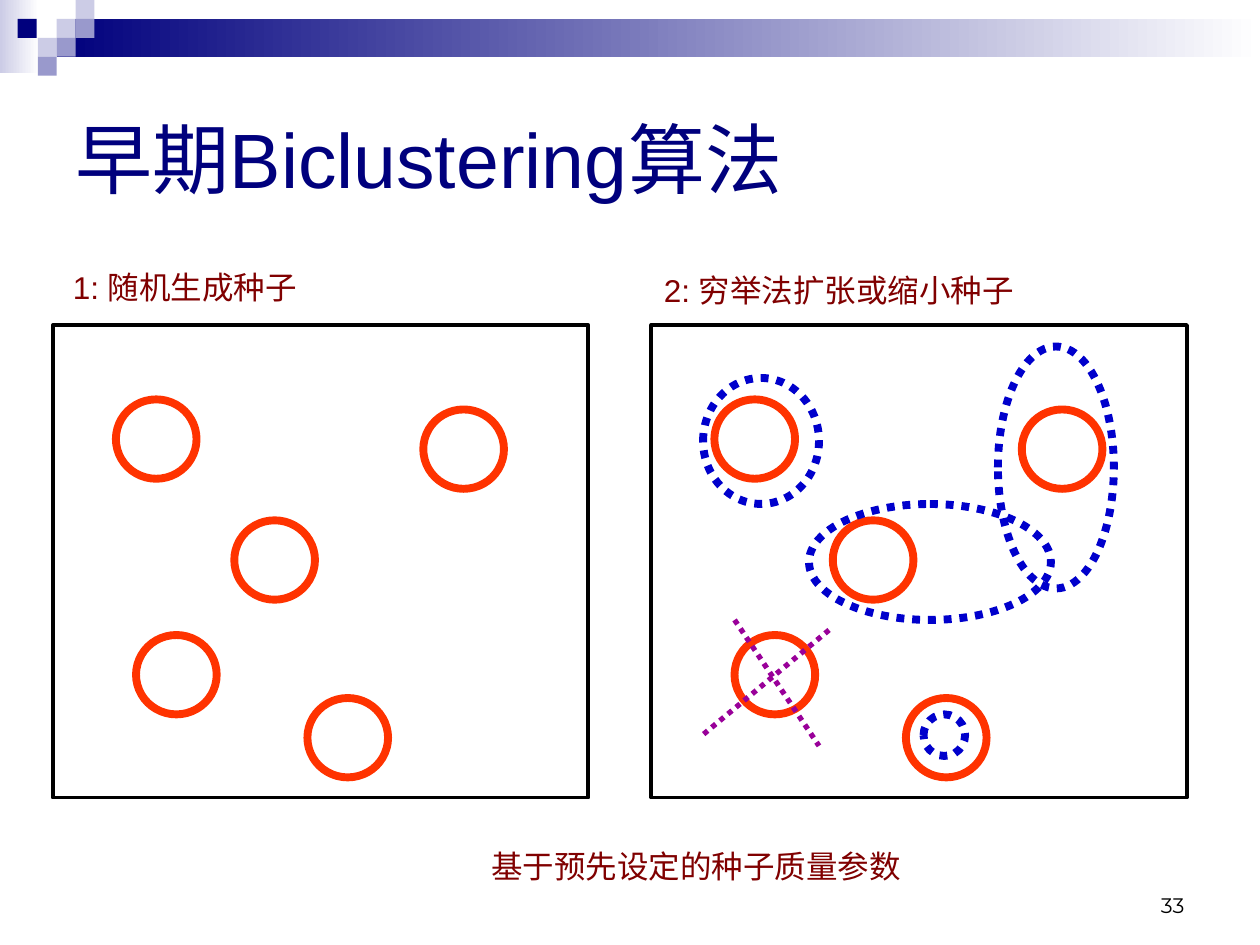
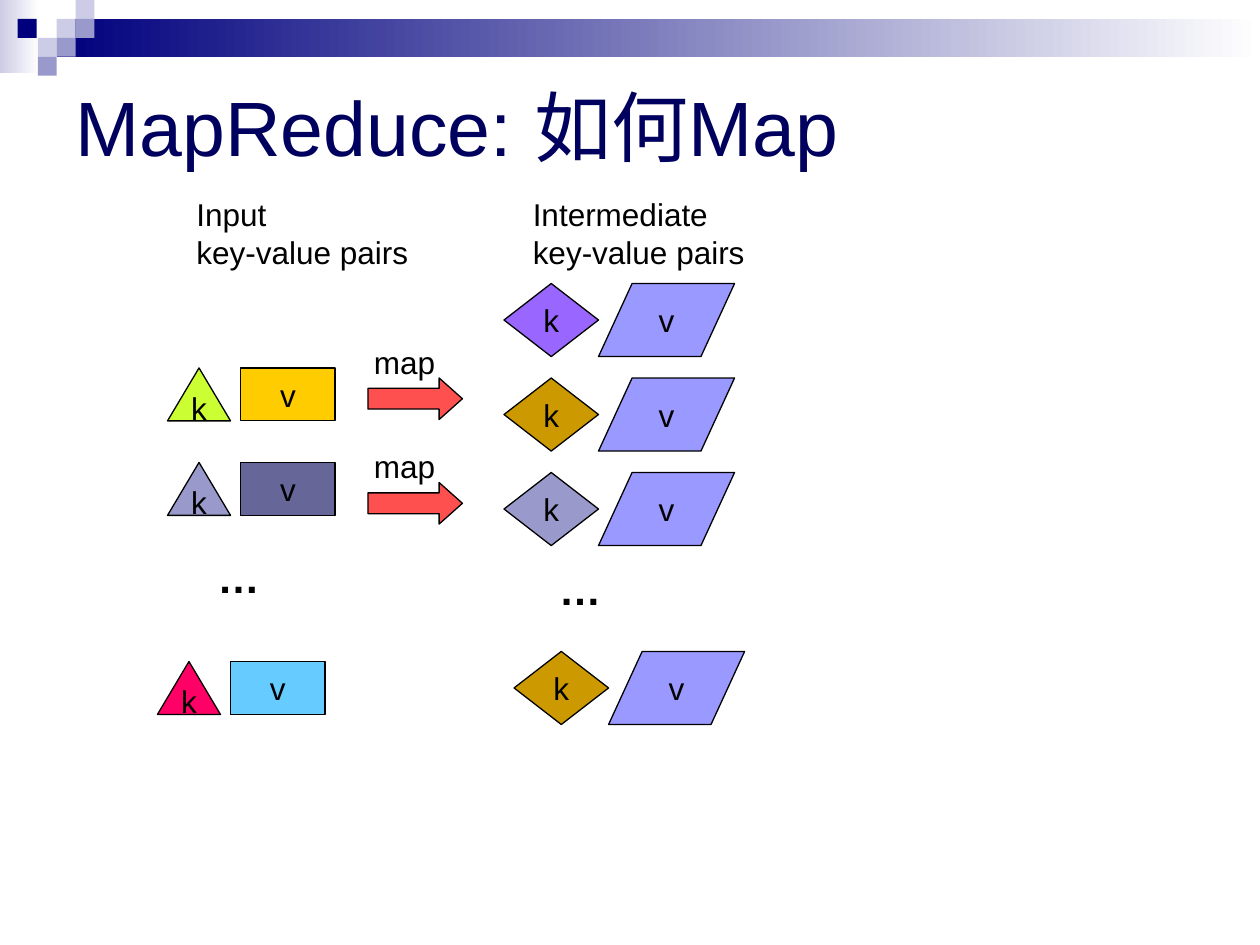
from lxml.etree import SubElement
from pptx import Presentation
from pptx.dml.color import RGBColor
from pptx.enum.dml import MSO_LINE
from pptx.enum.shapes import MSO_CONNECTOR, MSO_SHAPE
from pptx.enum.text import MSO_ANCHOR, MSO_AUTO_SIZE, PP_ALIGN
from pptx.oxml.ns import qn
from pptx.util import Inches, Pt

BLACK = RGBColor(0x00, 0x00, 0x00)
WHITE = RGBColor(0xFF, 0xFF, 0xFF)
NAVY = RGBColor(0x00, 0x00, 0x7D)
DARK_NAVY = RGBColor(0x00, 0x00, 0x5E)
PALE = RGBColor(0xCC, 0xCC, 0xE6)
LAVENDER = RGBColor(0x99, 0x99, 0xCC)
MAROON = RGBColor(0x80, 0x00, 0x00)
SEED_RED = RGBColor(0xFF, 0x33, 0x00)
GROWTH_BLUE = RGBColor(0x00, 0x00, 0xCC)
CROSS_PURPLE = RGBColor(0x99, 0x00, 0x99)
SLATE = RGBColor(0x66, 0x66, 0x99)
YELLOW = RGBColor(0xFF, 0xCC, 0x00)
LIME = RGBColor(0xCC, 0xFF, 0x33)
PINK = RGBColor(0xFF, 0x00, 0x66)
SKY = RGBColor(0x66, 0xCC, 0xFF)
VIOLET = RGBColor(0x99, 0x66, 0xFF)
OCHRE = RGBColor(0xCC, 0x99, 0x00)
PERIWINKLE = RGBColor(0x99, 0x99, 0xFF)
ARROW_RED = RGBColor(0xFF, 0x50, 0x50)


def add_figure(slide, kind, box, fill=None, line=None, width=0.75, label=None):
    """Add a preset shape; fill is a colour, a pair of gradient colours or None."""
    figure = slide.shapes.add_shape(kind, *[Inches(v) for v in box])
    figure.shadow.inherit = False
    if fill is None:
        figure.fill.background()
    elif isinstance(fill, RGBColor):
        figure.fill.solid()
        figure.fill.fore_color.rgb = fill
    else:
        figure.fill.gradient()
        figure.fill.gradient_angle = 0
        for stop, colour in zip(figure.fill.gradient_stops, fill):
            stop.color.rgb = colour
    if line is None:
        figure.line.fill.background()
    else:
        figure.line.color.rgb = line
        figure.line.width = Pt(width)
    if label:
        frame = figure.text_frame
        frame.word_wrap = False
        frame.vertical_anchor = MSO_ANCHOR.MIDDLE
        frame.paragraphs[0].alignment = PP_ALIGN.CENTER
        run = frame.paragraphs[0].add_run()
        run.text = label
        run.font.name = "Arial"
        run.font.size = Pt(18)
        run.font.color.rgb = BLACK
    return figure


def add_caption(slide, box, lines, colour=BLACK, size=18, bold=False,
                font="Arial", wrap=False):
    """Add a text box that grows with its text, one paragraph per line."""
    frame = slide.shapes.add_textbox(*[Inches(v) for v in box]).text_frame
    frame.word_wrap = wrap
    frame.auto_size = MSO_AUTO_SIZE.SHAPE_TO_FIT_TEXT
    for i, line in enumerate(lines):
        paragraph = frame.add_paragraph() if i else frame.paragraphs[0]
        run = paragraph.add_run()
        run.text = line
        run.font.name = font
        run.font.size = Pt(size)
        run.font.bold = bold
        run.font.color.rgb = colour
    return frame


prs = Presentation()
prs.slide_width, prs.slide_height = Inches(10), Inches(7.5)

# Header band and title shared by both slides
TILE = 0.15
HEADER = [
    ((0, 0, 0.31, 0.58), (PALE, WHITE)),
    ((0.45, 0.15, 9.55, 0.3), (NAVY, WHITE)),
    ((0.45, 0.15, TILE, TILE), PALE),
    ((0.6, 0, TILE, TILE), PALE),
    ((0.6, 0.15, TILE, TILE), LAVENDER),
    ((0.3, 0.3, TILE, TILE), PALE),
    ((0.14, 0.15, TILE, TILE), NAVY),
    ((0.45, 0.3, TILE, TILE), LAVENDER),
    ((0.3, 0.45, TILE, TILE), LAVENDER),
]
slides = []
for heading, top, colour in [
    ("早期Biclustering算法", 0.5, NAVY),
    ("MapReduce: 如何Map", 0.25, DARK_NAVY),
]:
    slide = prs.slides.add_slide(prs.slide_layouts[5])
    for box, fill in HEADER:
        add_figure(slide, MSO_SHAPE.RECTANGLE, box, fill)
    title = slide.shapes.title
    title.left, title.top = Inches(0.5), Inches(top)
    title.width, title.height = Inches(9), Inches(1.5)
    title.text_frame.auto_size = MSO_AUTO_SIZE.NONE
    title.text_frame.vertical_anchor = MSO_ANCHOR.MIDDLE
    title.text_frame.paragraphs[0].alignment = PP_ALIGN.LEFT
    run = title.text_frame.paragraphs[0].add_run()
    run.text = heading
    run.font.name = "Arial"
    run.font.size = Pt(44)
    run.font.color.rgb = colour
    slides.append(slide)
biclustering, mapreduce = slides

# Slide 1: the same seeds in two panels
SEEDS = [(0.92, 3.17), (1.08, 5.04), (3.36, 3.25), (1.86, 4.13), (2.44, 5.54)]
for shift in (0, 4.75):
    add_figure(biclustering, MSO_SHAPE.RECTANGLE, (0.42 + shift, 2.58, 4.25, 3.75),
               line=BLACK, width=2.25)
    for left, top in SEEDS:
        add_figure(biclustering, MSO_SHAPE.OVAL, (left + shift, top, 0.64, 0.63),
                   line=SEED_RED, width=4.5)

for box, rotation in [
    ((5.58, 3, 0.92, 1), 0),
    ((7.92, 2.75, 0.92, 1.92), 0),
    ((6.92, 3.5, 0.92, 1.92), 90),
    ((7.33, 5.67, 0.33, 0.33), 0),
]:
    resized_seed = add_figure(biclustering, MSO_SHAPE.OVAL, box,
                              line=GROWTH_BLUE, width=4.5)
    resized_seed.line.dash_style = MSO_LINE.ROUND_DOT
    resized_seed.rotation = rotation

for ends in [(5.83, 4.92, 6.5, 5.92), (6.58, 5, 5.58, 5.83)]:
    stroke = biclustering.shapes.add_connector(
        MSO_CONNECTOR.STRAIGHT, *[Inches(v) for v in ends])
    stroke.line.color.rgb = CROSS_PURPLE
    stroke.line.width = Pt(3)
    stroke.line.dash_style = MSO_LINE.ROUND_DOT
    SubElement(stroke._element.spPr, qn("a:effectLst"))

add_caption(biclustering, (0.48, 2.08, 2.04, 0.4), ["1: 随机生成种子"], MAROON)
add_caption(biclustering, (5.17, 2.1, 4.67, 0.4), ["2: 穷举法扩张或缩小种子"],
            MAROON, wrap=True)
add_caption(biclustering, (3.8, 6.67, 3.45, 0.4), ["基于预先设定的种子质量参数"], MAROON)
page_number = add_caption(biclustering, (7.17, 6.83, 2.33, 0.5), ["33"],
                          size=12, font="Montserrat", wrap=True)
page_number.auto_size = MSO_AUTO_SIZE.NONE
page_number.vertical_anchor = MSO_ANCHOR.BOTTOM
page_number.paragraphs[0].alignment = PP_ALIGN.RIGHT

# Slide 2: input pairs, map arrows, intermediate pairs
for left, top, key_fill, value_fill in [
    (1.33, 2.92, LIME, YELLOW),
    (1.33, 3.67, LAVENDER, SLATE),
    (1.25, 5.25, PINK, SKY),
]:
    add_figure(mapreduce, MSO_SHAPE.ISOSCELES_TRIANGLE, (left, top, 0.5, 0.42),
               key_fill, BLACK, label="k")
    add_figure(mapreduce, MSO_SHAPE.RECTANGLE, (left + 0.58, top, 0.75, 0.42),
               value_fill, BLACK, label="v")

for left, top, key_fill in [
    (4, 2.25, VIOLET),
    (4, 3, OCHRE),
    (4, 3.75, LAVENDER),
    (4.08, 5.17, OCHRE),
]:
    add_figure(mapreduce, MSO_SHAPE.DIAMOND, (left, top, 0.75, 0.58),
               key_fill, BLACK, label="k")
    value = add_figure(mapreduce, MSO_SHAPE.PARALLELOGRAM,
                       (left + 0.75, top, 1.08, 0.58), PERIWINKLE, BLACK, label="v")
    value.adjustments[0] = 0.46

for top in (2.67, 3.5):
    arrow = add_figure(mapreduce, MSO_SHAPE.RIGHT_ARROW,
                       (2.92, top + 0.33, 0.75, 0.33), ARROW_RED, BLACK)
    arrow.adjustments[1] = 0.56
    add_caption(mapreduce, (2.87, top, 0.7, 0.4), ["map"])

for left, stage in [(1.46, "Input"), (4.13, "Intermediate")]:
    add_caption(mapreduce, (left, 1.5, 1.88, 0.7), [stage, "key-value pairs"])
for left, top in [(1.63, 4.33), (4.34, 4.42)]:
    add_caption(mapreduce, (left, top, 0.53, 0.5), ["…"], size=24, bold=True)

prs.save("out.pptx")
